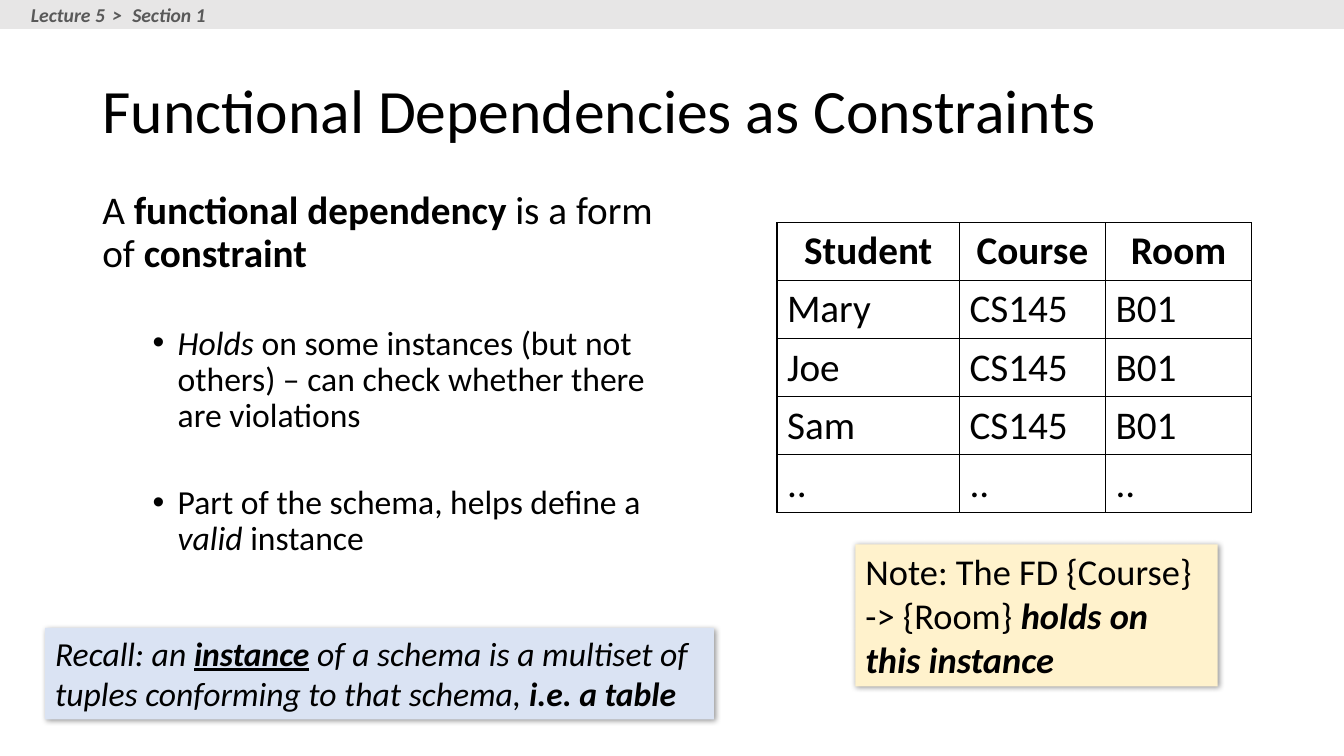
from lxml import etree
from pptx import Presentation
from pptx import util as u
from pptx.dml.color import RGBColor
from pptx.enum import shapes, text
from pptx.oxml import ns

COLORS = {
    "ink": "000000", "bar": "E7E6E6", "crumb": "595959",
    "note": "FFF2CC", "recall": "DAE3F3",
}
FONT = "Calibri"


def add_node(parent, tag, **attributes):
    """Append a drawing element with its attributes and return it."""
    node = etree.SubElement(parent, ns.qn(tag))
    for name, value in attributes.items():
        node.set(name, str(value))
    return node


def add_span(para, words, size, color="ink", bold=False, italic=False,
             underline=False, spacing=0):
    """Add one formatted run to a paragraph."""
    span = para.add_run()
    span.text = words
    font = span.font
    font.name, font.size = FONT, u.Pt(size)
    font.bold, font.italic, font.underline = bold, italic, underline
    font.color.rgb = RGBColor.from_string(COLORS[color])
    if spacing:
        font._element.set("spc", str(spacing * 100))


def add_spans(para, pieces, **shared):
    """Add runs given as (words, format) pairs over a shared format."""
    for words, own in pieces:
        add_span(para, words, **{**shared, **own})


def add_panel(container, box, color):
    """Draw a plain filled rectangle."""
    panel = container.add_shape(shapes.MSO_SHAPE.RECTANGLE, *map(u.Cm, box))
    panel.shadow.inherit = False
    panel.fill.solid()
    panel.fill.fore_color.rgb = RGBColor.from_string(COLORS[color])
    panel.line.fill.background()
    return panel


def add_header(page, box):
    """Place the grey bar and its breadcrumb."""
    left, top, width, height = box
    group = page.shapes.add_group_shape()
    add_panel(group.shapes, box, "bar")
    crumb = group.shapes.add_textbox(
        u.Cm(left + 0.53), u.Cm(top - 0.05), u.Cm(5.05), u.Cm(height + 0.13))
    crumb.text_frame.word_wrap = False
    pieces = [("Lecture 5", {}), (" > ", {"spacing": 2}), ("Section 1", {})]
    add_spans(crumb.text_frame.paragraphs[0], pieces, size=14, color="crumb",
              bold=True, italic=True)


def add_title(page, box, words):
    """Move the title placeholder and fill it."""
    title = page.shapes.title
    title.left, title.top, title.width, title.height = map(u.Cm, box)
    frame = title.text_frame
    frame.auto_size = text.MSO_AUTO_SIZE.NONE
    frame.vertical_anchor = text.MSO_ANCHOR.MIDDLE
    para = frame.paragraphs[0]
    para.alignment = text.PP_ALIGN.LEFT
    para.line_spacing = 0.9
    add_span(para, words, 44)


def add_body(page, box, lead, bullets):
    """Place the lead sentence and the bullets below it."""
    frame = page.shapes.add_textbox(*map(u.Cm, box)).text_frame
    frame.word_wrap = True
    first = frame.paragraphs[0]
    first.line_spacing = 0.9
    add_spans(first, lead, size=28)
    for bullet in bullets:
        para = frame.add_paragraph()
        para.level = 1
        para.line_spacing = 0.9
        para.space_before = u.Pt(36)
        properties = para._p.get_or_add_pPr()
        properties.set("marL", str(u.Cm(1.9)))
        properties.set("indent", str(u.Cm(-0.63)))
        add_node(properties, "a:buFont", typeface="Arial")
        add_node(properties, "a:buChar", char="•")
        add_spans(para, bullet, size=24)


def add_borders(cell):
    """Outline a table cell on all four sides."""
    properties = cell._tc.get_or_add_tcPr()
    for place, side in enumerate(("a:lnL", "a:lnR", "a:lnT", "a:lnB")):
        line = add_node(properties, side, w=u.Pt(1))
        fill = add_node(line, "a:solidFill")
        add_node(fill, "a:srgbClr", val=COLORS["ink"])
        properties.insert(place, line)


def add_grid(page, box, widths, rows):
    """Place the table of students, courses and rooms."""
    frame = page.shapes.add_table(len(rows), len(widths), *map(u.Cm, box))
    table = frame.table
    table.first_row = table.horz_banding = False
    for column, width in zip(table.columns, widths):
        column.width = u.Cm(width)
    for r, row in enumerate(rows):
        table.rows[r].height = u.Cm(box[3] / len(rows))
        for c, words in enumerate(row):
            cell = table.cell(r, c)
            cell.fill.background()
            add_borders(cell)
            para = cell.text_frame.paragraphs[0]
            para.alignment = text.PP_ALIGN.LEFT if r else text.PP_ALIGN.CENTER
            add_span(para, words, 28, bold=r == 0)


def add_callout(page, box, color, pieces, **shared):
    """Place a tinted box with a soft shadow and left-aligned text."""
    panel = add_panel(page.shapes, box, color)
    effects = panel._element.spPr.find(ns.qn("a:effectLst"))
    shadow = add_node(effects, "a:outerShdw", blurRad=u.Pt(4), dist=u.Pt(1),
                      dir=45 * 60000, algn="tl", rotWithShape=0)
    tint = add_node(shadow, "a:srgbClr", val=COLORS["ink"])
    add_node(tint, "a:alpha", val=40000)
    frame = panel.text_frame
    frame.word_wrap = True
    frame.vertical_anchor = text.MSO_ANCHOR.TOP
    para = frame.paragraphs[0]
    para.alignment = text.PP_ALIGN.LEFT
    add_spans(para, pieces, **shared)


def main():
    """Build the slide and save the deck."""
    deck = Presentation()
    deck.slide_width, deck.slide_height = u.Cm(33.87), u.Cm(19.05)
    page = deck.slides.add_slide(deck.slide_layouts[5])
    bold, italic = {"bold": True}, {"italic": True}

    add_title(page, (2.33, 1.01, 29.21, 3.68),
              "Functional Dependencies as Constraints")
    add_grid(page, (19.58, 5.61, 11.97, 7.3), (4.6, 3.68, 3.68), [
        ("Student", "Course", "Room"),
        *((name, "CS145", "B01") for name in ("Mary", "Joe", "Sam")),
        ("..",) * 3,
    ])
    add_callout(page, (21.56, 13.72, 9.13, 3.58), "note", [
        ("Note: The FD {Course} -> {Room} ", {}),
        ("holds on this instance", {**bold, **italic}),
    ], size=26)
    add_body(page, (2.33, 4.69, 14.48, 11.13), [
        ("A ", {}), ("functional dependency ", bold),
        ("is a form of ", {}), ("constraint", bold),
    ], [
        [("Holds", italic), (" on some instances (but not others) – can check "
                             "whether there are violations", {})],
        [("Part of the schema, helps define a ", {}), ("valid", italic),
         (" instance", {})],
    ])
    add_header(page, (0, 0, 33.87, 0.73))
    add_callout(page, (1.14, 15.82, 16.85, 2.31), "recall", [
        ("Recall: an ", {}), ("instance", {"bold": True, "underline": True}),
        (" of a schema is a multiset of tuples conforming to that schema, ", {}),
        ("i.e. a table", bold),
    ], size=24, italic=True)
    deck.save("out.pptx")


if __name__ == "__main__":
    main()
